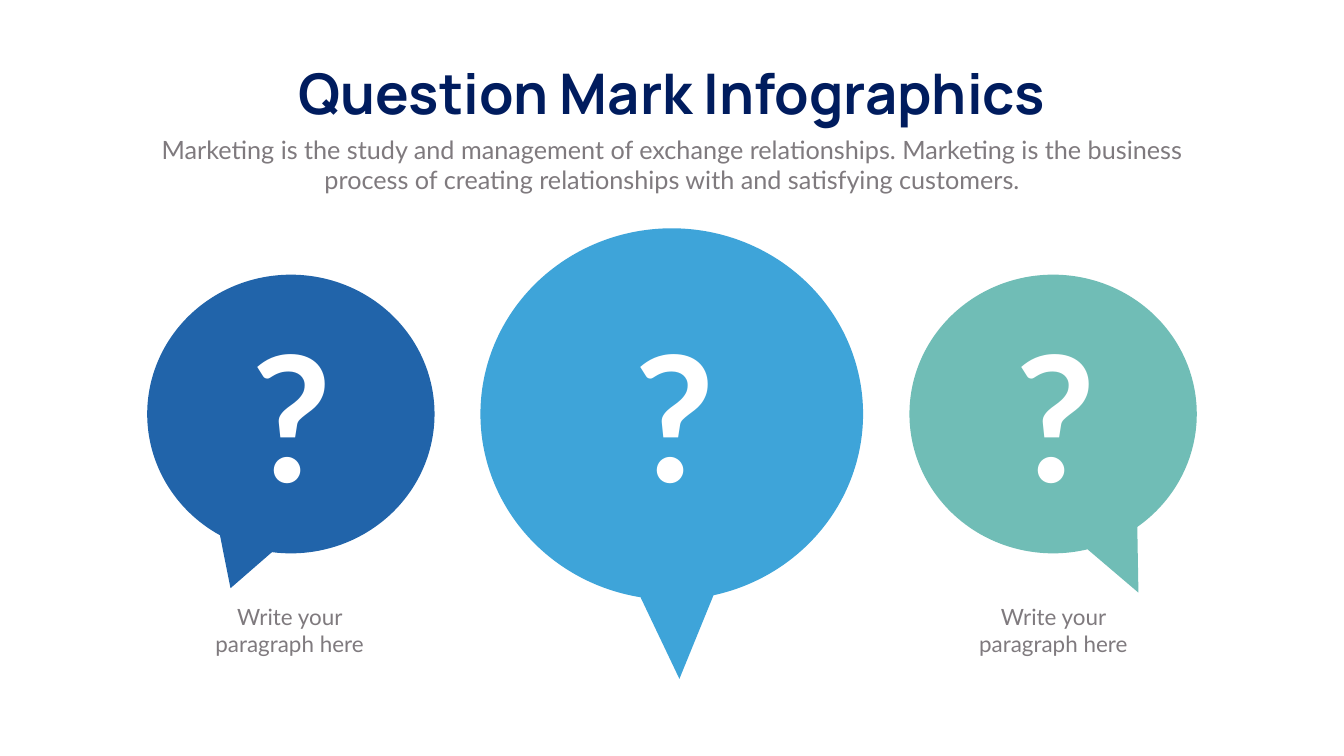
"""Build the question mark infographic slide with three speech bubbles."""
from pptx import Presentation
from pptx.dml.color import RGBColor
from pptx.enum.shapes import MSO_SHAPE
from pptx.enum.text import MSO_AUTO_SIZE, PP_ALIGN
from pptx.util import Inches, Pt

NAVY = RGBColor(0x00, 0x1C, 0x5E)
GRAY = RGBColor(0x7F, 0x7A, 0x7E)
WHITE = RGBColor(0xFF, 0xFF, 0xFF)
BLUE = RGBColor(0x21, 0x64, 0xAA)
SKY = RGBColor(0x3E, 0xA4, 0xD9)
TEAL = RGBColor(0x70, 0xBD, 0xB6)

BUBBLES = [
    ((2.92, 5.45, 5.7, 5.53), (-0.21, 0.625), BLUE, 4.9),
    ((9.53, 4.53, 7.59, 7.37), (0.02, 0.713), SKY, 12.49),
    ((18.04, 5.45, 5.7, 5.53), (0.297, 0.641), TEAL, 20.05),
]
CAPTION_LEFTS = (3.61, 18.76)


class Deck:
    def __init__(self, prs, font="Lato"):
        self.font = font
        self.slide = prs.slides.add_slide(prs.slide_layouts[6])

    def text(self, box, text, size, color, font=None, bold=False, wrap=True,
             align=PP_ALIGN.CENTER):
        tf = self.slide.shapes.add_textbox(*map(Inches, box)).text_frame
        tf.word_wrap = wrap
        tf.auto_size = MSO_AUTO_SIZE.SHAPE_TO_FIT_TEXT
        tf.text = text
        p = tf.paragraphs[0]
        p.alignment = align
        r = p.runs[0]
        r.font.name = font or self.font
        r.font.size = Pt(size)
        r.font.bold = bold
        r.font.color.rgb = color

    def bubble(self, box, tip, color):
        sp = self.slide.shapes.add_shape(MSO_SHAPE.OVAL_CALLOUT, *map(Inches, box))
        sp.shadow.inherit = False
        sp.adjustments[0], sp.adjustments[1] = tip
        sp.fill.solid()
        sp.fill.fore_color.rgb = color
        sp.line.fill.background()


def main():
    prs = Presentation()
    prs.slide_width, prs.slide_height = Inches(26.66), Inches(15)
    deck = Deck(prs)
    deck.text((5.22, 1.12, 16.22, 1.45), "Question Mark Infographics", 80, NAVY,
              font="Manrope", bold=True, wrap=False)
    deck.text((2.92, 2.61, 20.82, 1.31),
              "Marketing is the study and management of exchange relationships. "
              "Marketing is the business process of creating relationships with "
              "and satisfying customers.", 36, GRAY)
    for box, tip, color, mark_left in BUBBLES:
        deck.bubble(box, tip, color)
        deck.text((mark_left, 6.06, 1.68, 4.31), "?", 250, WHITE, bold=True,
                  wrap=False, align=PP_ALIGN.LEFT)
    for left in CAPTION_LEFTS:
        deck.text((left, 11.91, 4.27, 1.2), "Write your paragraph here", 32, GRAY)
    prs.save("out.pptx")


if __name__ == "__main__":
    main()
